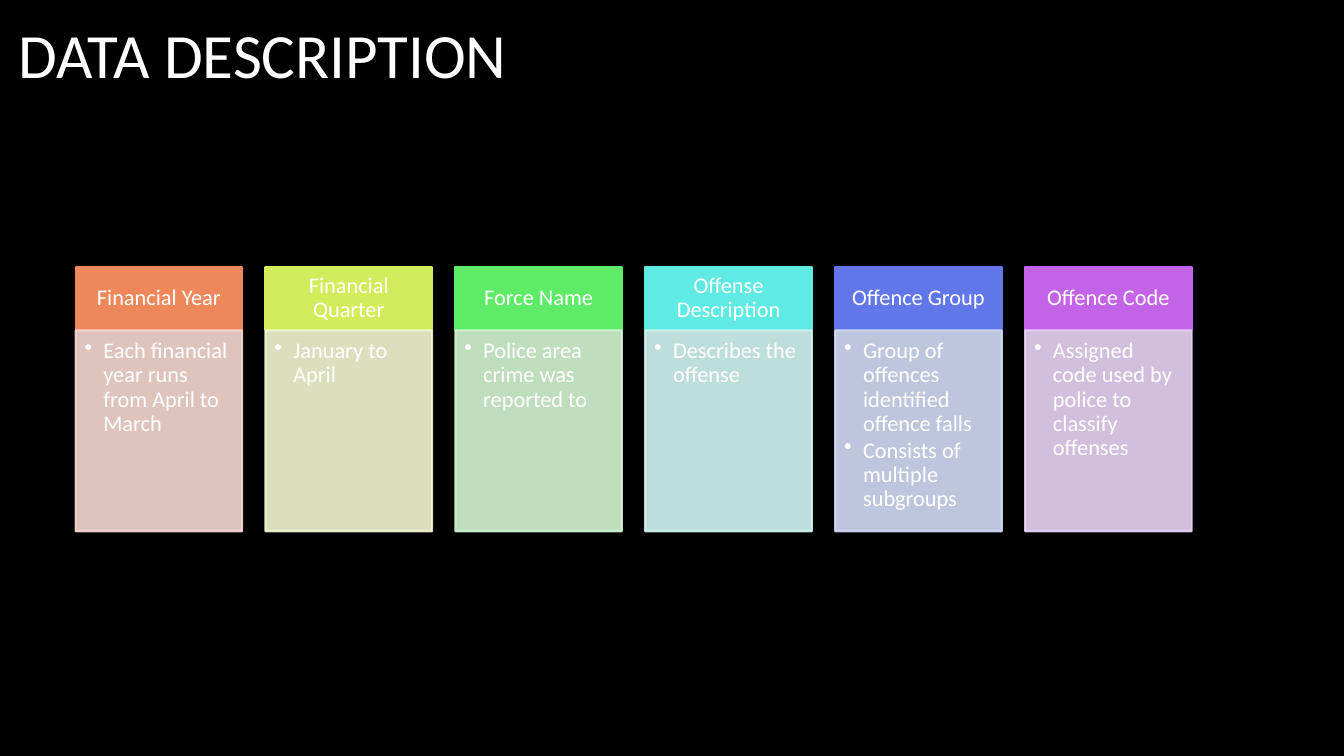
from dataclasses import dataclass

import lxml.etree
import pptx
import pptx.dml.color
import pptx.enum.shapes
import pptx.enum.text
import pptx.oxml.ns
import pptx.shapes.autoshape
import pptx.slide
import pptx.text.text
import pptx.util

Pt = pptx.util.Pt
qn = pptx.oxml.ns.qn
Align = pptx.enum.text.PP_ALIGN
Anchor = pptx.enum.text.MSO_ANCHOR
Shape = pptx.shapes.autoshape.Shape


@dataclass(frozen=True)
class Theme:
    font: str = "Calibri"
    background: str = "000000"
    text: str = "FFFFFF"
    title_size: float = 45
    card_size: float = 16
    line_width: float = 1.5
    body_opacity: int = 90


@dataclass(frozen=True)
class Field:
    name: str
    notes: tuple[str, ...]
    header_color: str
    body_color: str


@dataclass(frozen=True)
class Box:
    left: float
    top: float
    width: float
    height: float


THEME = Theme()
FIELDS = (
    Field("Financial Year", ("Each financial year runs from April to March",), "EE875A", "F8D9D2"),
    Field("Financial Quarter", ("January to April",), "D2ED5C", "F5F8D2"),
    Field("Force Name", ("Police area crime was reported to",), "5EEC68", "D3F7D2"),
    Field("Offense Description", ("Describes the offense",), "5FEAE4", "D2F7F2"),
    Field(
        "Offence Group",
        ("Group of offences identified offence falls", "Consists of multiple subgroups"),
        "6177E9",
        "D3DCF7",
    ),
    Field("Offence Code", ("Assigned code used by police to classify offenses",), "C363E8", "E9D3F6"),
)

CARDS_LEFT, CARDS_TOP = 54, 190.5
CARD_WIDTH, CARD_PITCH = 119, 135.65
HEADER_HEIGHT, BODY_HEIGHT = 45.5, 143.5
BULLET_INDENT = 13.5
HEADER_INSETS = (8.5, 5, 8.5, 5)
BODY_INSETS = (6.4, 6.4, 8.5, 9.6)


def rgb(color: str) -> pptx.dml.color.RGBColor:
    return pptx.dml.color.RGBColor.from_string(color)


def format_runs(p: pptx.text.text._Paragraph, size: float) -> None:
    for r in p.runs:
        r.font.name = THEME.font
        r.font.size = Pt(size)
        r.font.color.rgb = rgb(THEME.text)


def set_opacity(sp: Shape, percent: int) -> None:
    """Apply one opacity to both the fill and the line."""
    for color in sp._element.spPr.iter(qn("a:srgbClr")):
        lxml.etree.SubElement(color, qn("a:alpha"), val=str(percent * 1000))


def add_bullet(p: pptx.text.text._Paragraph) -> None:
    pPr = p._p.get_or_add_pPr()
    pPr.set("marL", str(Pt(BULLET_INDENT)))
    pPr.set("indent", str(-Pt(BULLET_INDENT)))
    lxml.etree.SubElement(pPr, qn("a:buChar"), char="•")


def add_panel(
    s: pptx.slide.Slide,
    box: Box,
    color: str,
    text: str,
    insets: tuple[float, float, float, float],
    align: Align,
    anchor: Anchor,
    space_after: float,
) -> Shape:
    """Draw a filled rectangle holding one paragraph per line of text."""
    sp = s.shapes.add_shape(
        pptx.enum.shapes.MSO_SHAPE.RECTANGLE,
        Pt(box.left), Pt(box.top), Pt(box.width), Pt(box.height),
    )
    sp.shadow.inherit = False
    sp.fill.solid()
    sp.fill.fore_color.rgb = rgb(color)
    sp.line.color.rgb = rgb(color)
    sp.line.width = Pt(THEME.line_width)
    tf = sp.text_frame
    tf.word_wrap = True
    tf.vertical_anchor = anchor
    tf.margin_left, tf.margin_top, tf.margin_right, tf.margin_bottom = map(Pt, insets)
    tf.text = text
    for p in tf.paragraphs:
        p.alignment = align
        p.line_spacing = 0.9
        p.space_after = Pt(space_after)
        format_runs(p, THEME.card_size)
    return sp


def add_card(s: pptx.slide.Slide, field: Field, left: float) -> None:
    header = Box(left, CARDS_TOP, CARD_WIDTH, HEADER_HEIGHT)
    body = Box(left, CARDS_TOP + HEADER_HEIGHT, CARD_WIDTH, BODY_HEIGHT)
    add_panel(s, header, field.header_color, field.name, HEADER_INSETS, Align.CENTER, Anchor.MIDDLE, 0)
    sp = add_panel(
        s, body, field.body_color, "\n".join(field.notes), BODY_INSETS, Align.LEFT, Anchor.TOP, 2
    )
    set_opacity(sp, THEME.body_opacity)
    for p in sp.text_frame.paragraphs:
        add_bullet(p)


def add_title(s: pptx.slide.Slide, text: str) -> None:
    sp = s.shapes.add_textbox(Pt(6), Pt(4.5), Pt(798), Pt(67))
    tf = sp.text_frame
    tf.word_wrap = True
    tf.vertical_anchor = Anchor.MIDDLE
    tf.text = text
    format_runs(tf.paragraphs[0], THEME.title_size)


def main() -> None:
    prs = pptx.Presentation()
    prs.slide_width, prs.slide_height = Pt(960), Pt(540)
    s = prs.slides.add_slide(prs.slide_layouts[6])
    s.background.fill.solid()
    s.background.fill.fore_color.rgb = rgb(THEME.background)
    add_title(s, "DATA DESCRIPTION")
    for i, field in enumerate(FIELDS):
        add_card(s, field, CARDS_LEFT + i * CARD_PITCH)
    prs.save("out.pptx")


if __name__ == "__main__":
    main()
